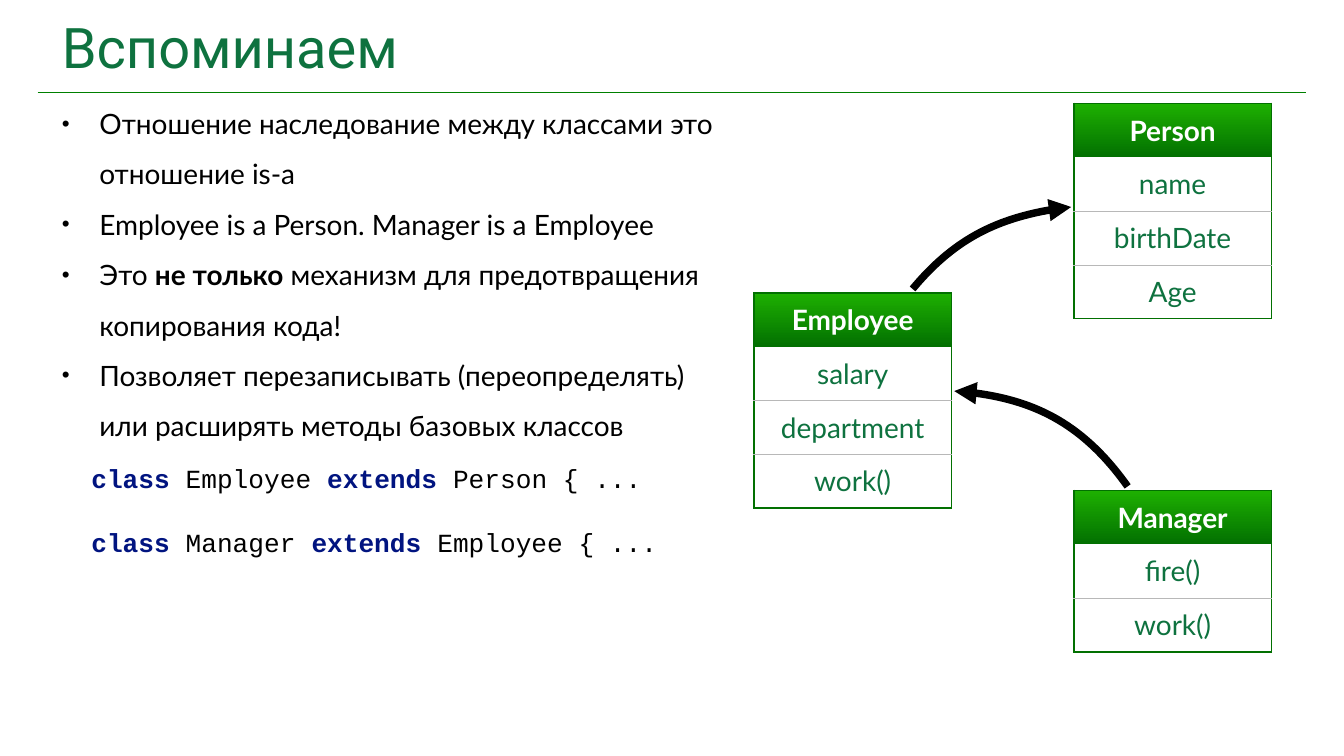
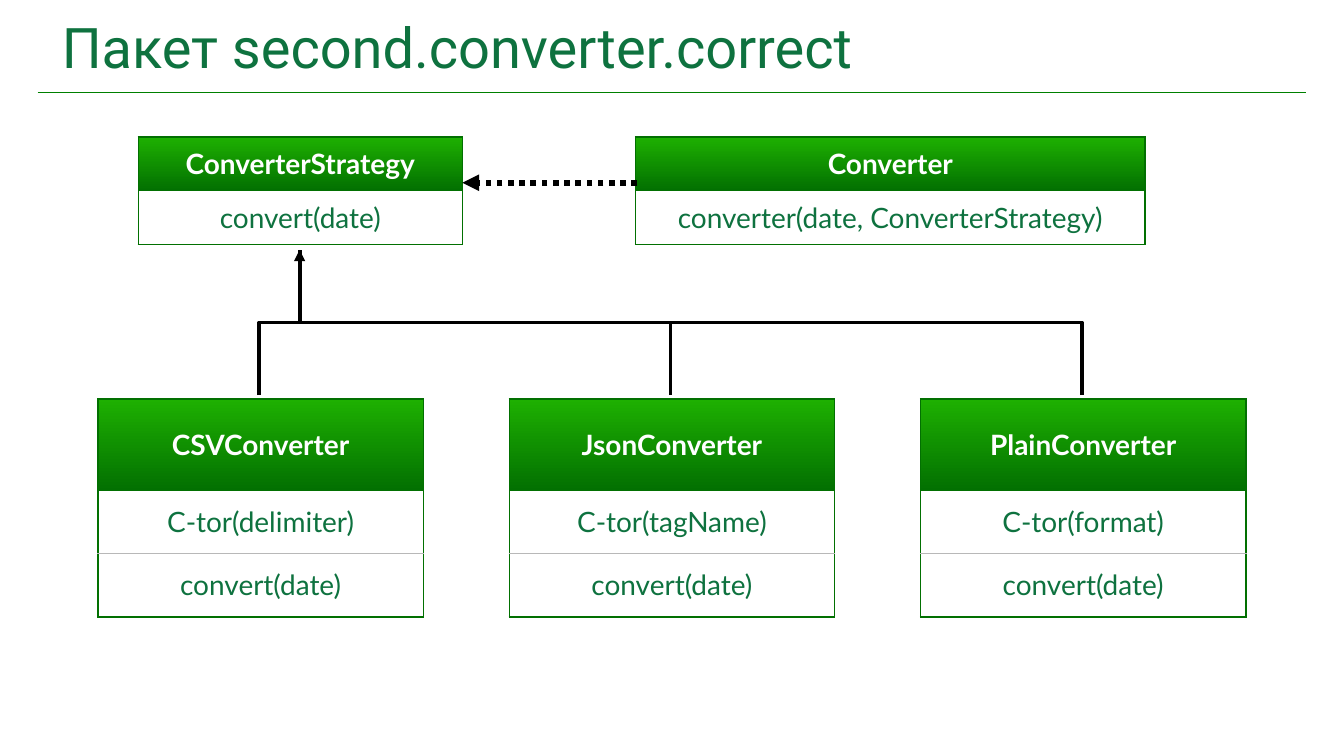
import lxml.etree
import pptx
import pptx.dml.color
import pptx.enum.dml
import pptx.enum.shapes
import pptx.enum.text
import pptx.oxml.ns
import pptx.util

Inches = pptx.util.Inches
Pt = pptx.util.Pt
qn = pptx.oxml.ns.qn

INK = {
    "title": "0E723F",
    "rule": "008000",
    "top": "1EB001",
    "edge": "027001",
    "grid": "B8B8B8",
    "key": "011480",
    "black": "000000",
    "white": "FFFFFF",
}
MID = pptx.enum.text.MSO_ANCHOR.MIDDLE
LEFT = pptx.enum.text.PP_ALIGN.LEFT
PLAIN = "{2D5ABB26-0587-4C30-8999-92F81FD0307C}"
WIDE = Inches(10)
FRAME = dict(
    word_wrap=True,
    vertical_anchor=MID,
    auto_size=pptx.enum.text.MSO_AUTO_SIZE.NONE,
    **{f"margin_{side}": Inches(0.03) for side in ("left", "right", "top", "bottom")},
)
CELL = dict(
    vertical_anchor=MID,
    **{f"margin_{side}": Inches(0.06) for side in ("left", "right", "top", "bottom")},
)


def rgb(ink):
    return pptx.dml.color.RGBColor.from_string(INK[ink])


def put(item, vals):
    for name, val in vals.items():
        setattr(item, name, val)


def place(shape, left, top, width, height):
    put(shape, dict(left=Inches(left), top=Inches(top),
                    width=Inches(width), height=Inches(height)))
    put(shape.text_frame, FRAME)


def write(para, text, size, face, ink="black", bold=False):
    run = para.add_run()
    run.text = text
    put(run.font, dict(size=Pt(size), name=face, bold=bold))
    run.font.color.rgb = rgb(ink)


def sub(node, tag, **attrs):
    return lxml.etree.SubElement(node, qn(tag), attrs)


def stroke(shape, width, ink="black", dash=None, tip=False):
    """Set the line of a shape; tip puts an arrowhead at its end."""
    shape.line.color.rgb = rgb(ink)
    put(shape.line, dict(width=Pt(width), dash_style=dash))
    if tip:
        sub(shape.line._get_or_add_ln(), "a:tailEnd", type="triangle")


def join(slide, start, end):
    kind = pptx.enum.shapes.MSO_CONNECTOR.STRAIGHT
    line = slide.shapes.add_connector(kind, *map(Inches, start + end))
    sub(line._element.spPr, "a:effectLst")
    return line


def trace(slide, points, width, tip=False):
    dots = [(Inches(x), Inches(y)) for x, y in points]
    pen = slide.shapes.build_freeform(*dots[0])
    pen.add_line_segments(dots[1:], close=False)
    shape = pen.convert_to_shape()
    shape.shadow.inherit = False
    shape.fill.background()
    stroke(shape, width, tip=tip)
    return shape


def curve(slide, points):
    """Draw an arrow along a cubic curve: start, two controls, end."""
    shape = trace(slide, points, 4, tip=True)
    legs = list(shape._element.iter(qn("a:lnTo")))
    bend = sub(legs[0].getparent(), "a:cubicBezTo")
    for leg in legs:
        bend.append(leg[0])
        leg.getparent().remove(leg)


def edge(cell, side, width, ink):
    line = sub(cell._tc.get_or_add_tcPr(), f"a:ln{side}", w=str(int(Pt(width))))
    sub(sub(line, "a:solidFill"), "a:srgbClr", val=INK[ink])


def card(slide, left, top, width, rows, highs):
    """Draw a class box: its name on a green band, its members below."""
    shape = slide.shapes.add_table(
        len(rows), 1, Inches(left), Inches(top), Inches(width), Inches(sum(highs)))
    table = shape.table
    put(table, dict(first_row=False, horz_banding=False))
    table._tbl.tblPr.find(qn("a:tableStyleId")).text = PLAIN
    table.columns[0].width = Inches(width)
    last = len(rows) - 1
    for i, (text, high) in enumerate(zip(rows, highs)):
        table.rows[i].height = Inches(high)
        cell = table.cell(i, 0)
        put(cell, CELL)
        head = i == 0
        edge(cell, "L", 1, "edge")
        edge(cell, "R", 1, "edge")
        if head:
            edge(cell, "T", 1, "edge")
        elif i > 1:
            edge(cell, "T", 0.25, "grid")
        if i == last:
            edge(cell, "B", 1, "edge")
        elif not head:
            edge(cell, "B", 0.25, "grid")
        if head:
            cell.fill.gradient()
            cell.fill.gradient_angle = 270
            for stop, ink in zip(cell.fill.gradient_stops, ("top", "edge")):
                stop.color.rgb = rgb(ink)
        else:
            cell.fill.solid()
            cell.fill.fore_color.rgb = rgb("white")
        para = cell.text_frame.paragraphs[0]
        para.alignment = pptx.enum.text.PP_ALIGN.CENTER
        write(para, text, 15, "Lato", "white" if head else "title", head)


def start(deck, layout, title):
    slide = deck.slides.add_slide(deck.slide_layouts[layout])
    shape = slide.shapes.title
    place(shape, 0.43, 0.07, 9.14, 0.55)
    para = shape.text_frame.paragraphs[0]
    para.alignment = LEFT
    write(para, title, 30, "Roboto", "title")
    return slide


def rule(deck, slide):
    """Put the line under the titles on the master."""
    line = join(slide, (0.28, 0.69), (9.72, 0.69))
    stroke(line, 0.75, "rule")
    line._element.nvCxnSpPr.cNvPr.id = 99
    deck.slide_master.shapes.element.append(line._element)


def bullets(shape, items):
    """Fill a list; each item is a row of texts, every second one bold."""
    frame = shape.text_frame
    for i, item in enumerate(items):
        para = frame.add_paragraph() if i else frame.paragraphs[0]
        put(para, dict(line_spacing=1.5, space_before=Pt(0), alignment=LEFT))
        props = para._p.get_or_add_pPr()
        props.set("marL", str(Inches(0.28)))
        props.set("indent", str(-Inches(0.28)))
        sub(props, "a:buSzPct", val="80000")
        sub(props, "a:buFont", typeface="Arial")
        sub(props, "a:buChar", char="•")
        for j, text in enumerate(item):
            write(para, text, 15, "Lato", bold=j % 2 == 1)


def code(slide, pairs):
    shape = slide.shapes.add_textbox(0, 0, 0, 0)
    place(shape, 0.65, 3.32, 4.47, 0.95)
    frame = shape.text_frame
    for i, (name, base) in enumerate(pairs):
        para = frame.add_paragraph() if i else frame.paragraphs[0]
        para.space_before = Pt(17 if i else 0)
        for text, bold in (("class ", True), (f"{name} ", False),
                           ("extends ", True), (f"{base} {{ ...", False)):
            write(para, text, 14, "Courier New", "key" if bold else "black", bold)


def recall(deck):
    slide = start(deck, 1, "Вспоминаем")
    rule(deck, slide)
    body = slide.placeholders[1]
    place(body, 0.43, 0.77, 4.92, 2.42)
    bullets(body, [
        ["Отношение наследование между классами это отношение is-a"],
        ["Employee is a Person. Manager is a Employee"],
        ["Это ", "не только", " механизм для предотвращения копирования кода!"],
        ["Позволяет перезаписывать (переопределять) или расширять методы базовых классов"],
    ])
    for left, top, rows in (
        (7.99, 0.77, ["Person", "name", "birthDate", "Age"]),
        (5.61, 2.18, ["Employee", "salary", "department", "work()"]),
        (7.99, 3.65, ["Manager", "fire()", "work()"]),
    ):
        card(slide, left, top, 1.47, rows, [0.4] * len(rows))
    curve(slide, [(6.79, 2.15), (7.09, 1.79), (7.48, 1.59), (7.97, 1.54)])
    curve(slide, [(8.39, 3.62), (8.07, 3.17), (7.64, 2.94), (7.1, 2.91)])
    code(slide, [("Employee", "Person"), ("Manager", "Employee")])


def package(deck):
    slide = start(deck, 5, "Пакет second.converter.correct")
    card(slide, 4.73, 1.02, 3.79,
         ["Converter", "converter(date, ConverterStrategy)"], [0.4, 0.4])
    card(slide, 1.03, 1.02, 2.41, ["ConverterStrategy", "convert(date)"], [0.4, 0.4])
    uses = join(slide, (4.74, 1.36), (3.44, 1.36))
    stroke(uses, 3, dash=pptx.enum.dml.MSO_LINE.ROUND_DOT, tip=True)
    for i, (name, arg) in enumerate((("CSV", "delimiter"), ("Json", "tagName"),
                                     ("Plain", "format"))):
        step = 3.06 * i
        card(slide, 0.73 + step, 2.97, 2.42,
             [f"{name}Converter", f"C-tor({arg})", "convert(date)"],
             [0.68, 0.47, 0.47])
        stem = 1.93 + step
        trace(slide, [(stem, 2.94), (stem, 2.4), (2.23, 2.4), (2.23, 1.86)],
              2, tip=i == 0)


def main():
    deck = pptx.Presentation()
    put(deck, dict(slide_width=WIDE, slide_height=WIDE * 9 // 16))
    recall(deck)
    package(deck)
    deck.save("out.pptx")


if __name__ == "__main__":
    main()
